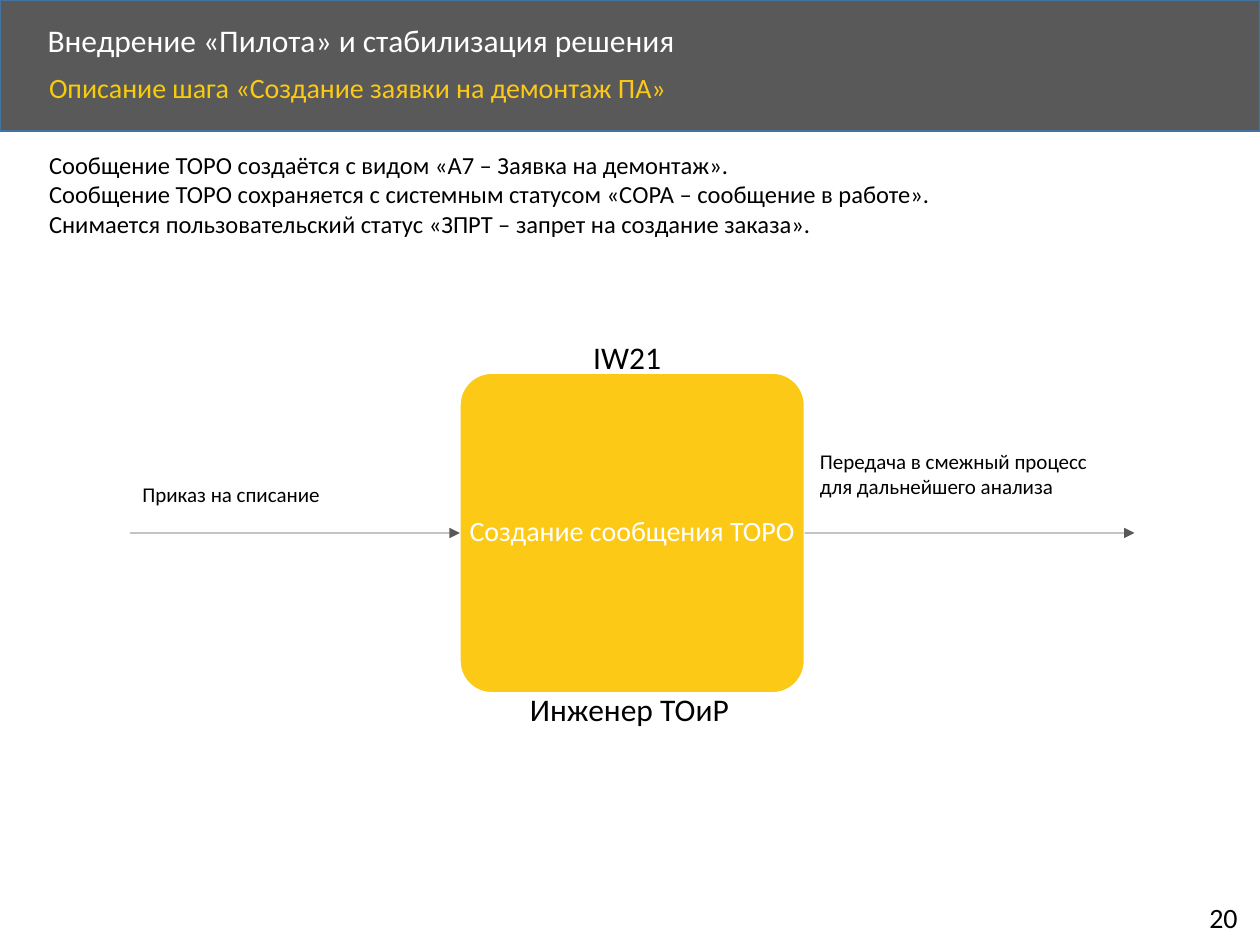
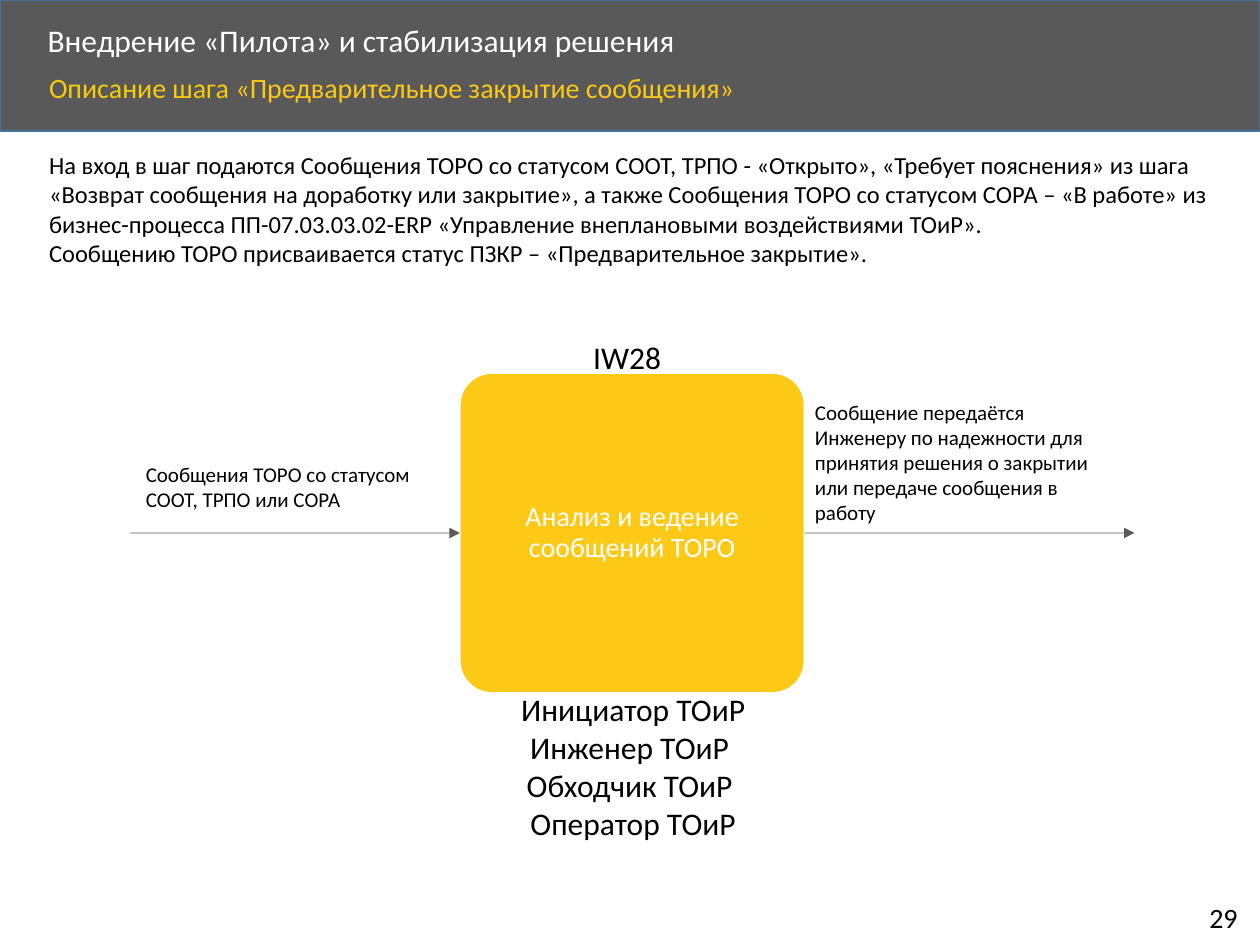
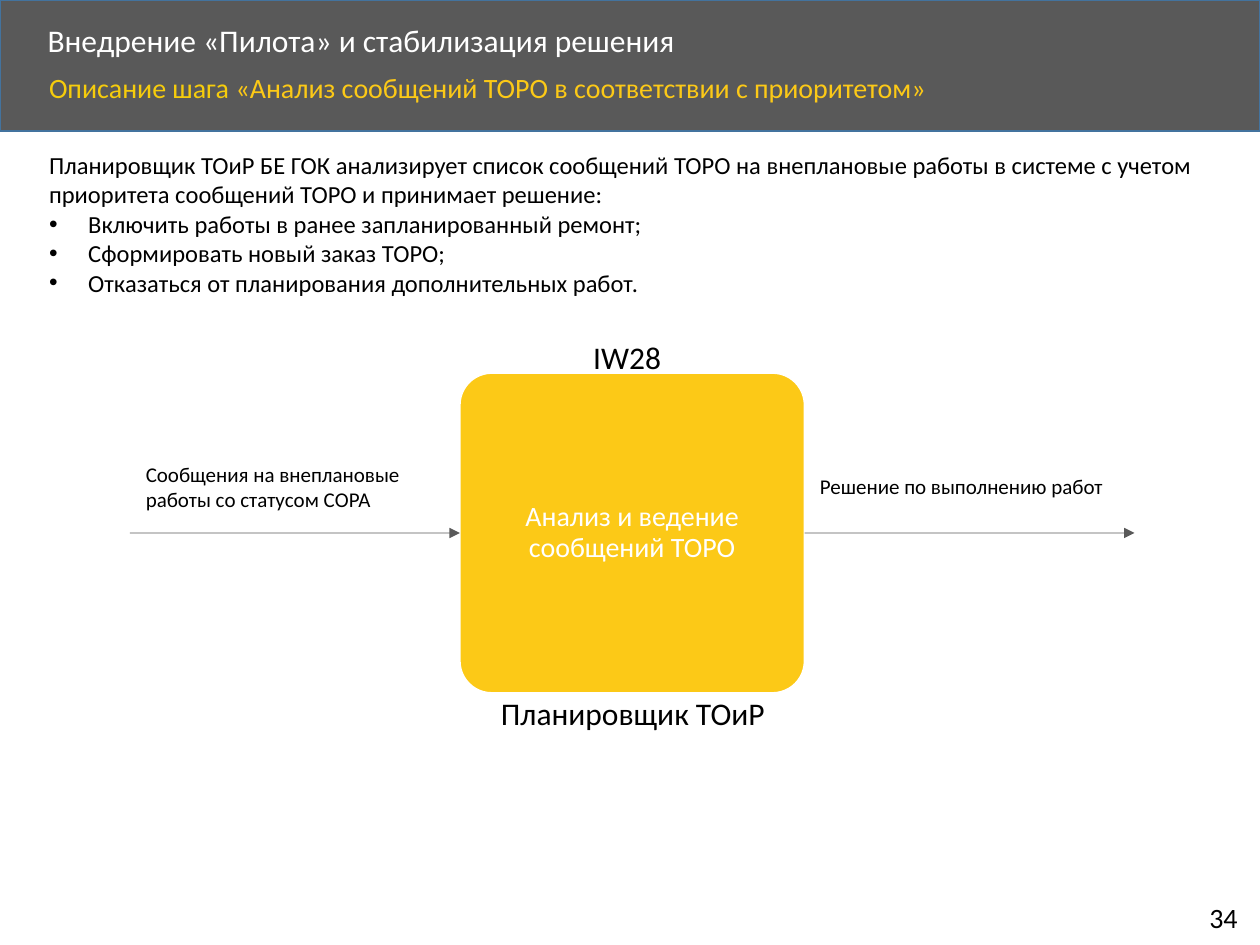
from lxml.etree import SubElement
from pptx import Presentation
from pptx.dml.color import RGBColor as Rgb
from pptx.enum.shapes import MSO_CONNECTOR as Link, MSO_SHAPE as Kind
from pptx.enum.text import MSO_ANCHOR as Anchor, MSO_AUTO_SIZE as Auto, PP_ALIGN as Align
from pptx.oxml.ns import qn
from pptx.util import Cm, Pt

HUES = {
    "grey": "595959",
    "blue": "43739E",
    "gold": "FCC917",
    "lemon": "F6CC0C",
    "white": "FFFFFF",
    "black": "000000",
}
FONT = "Calibri"
TITLE = "Внедрение «Пилота» и стабилизация решения"
LEAD = "Описание шага "
BOX = (9.27, 7.52, 6.95, 6.45)
REACH = 6.65


def hue(name):
    return Rgb.from_string(HUES[name])


class Deck:
    def __init__(self):
        self.prs = Presentation()
        self.prs.slide_width = Cm(25.4)
        self.prs.slide_height = Cm(19.05)
        self.slide = None

    def page(self, step, num):
        self.slide = self.prs.slides.add_slide(self.prs.slide_layouts[6])
        self.shape(Kind.RECTANGLE, (0, 0, 25.4, 2.64), "grey", "blue")
        self.text((0.71, 0.36, 20.5, 0.97), [TITLE], 18, "white", mid=True, lead=0.9)
        self.text((24.13, 18.03, 1.17, 0.94), [num], 16, wrap=False)
        head = self.text((0.74, 1.37, 21.97, 1.14), [LEAD], 16, lead=0.9)
        para = head.text_frame.paragraphs[0]
        para.add_run().text = step
        for run, tone in zip(para.runs, ("lemon", "gold")):
            run.font.color.rgb = hue(tone)

    def shape(self, kind, spot, fill, line):
        item = self.slide.shapes.add_shape(kind, *map(Cm, spot))
        item.shadow.inherit = False
        item.fill.solid()
        item.fill.fore_color.rgb = hue(fill)
        item.line.color.rgb = hue(line)
        item.line.width = Pt(1)
        return item

    def style(self, para, size, tone, align=Align.LEFT, lead=None):
        para.alignment = align
        para.line_spacing = lead
        para.font.name = FONT
        para.font.size = Pt(size)
        para.font.color.rgb = hue(tone)

    def text(self, spot, lines, size, tone="black", align=Align.LEFT,
             mid=False, wrap=True, lead=None, dots=False):
        item = self.slide.shapes.add_textbox(*map(Cm, spot))
        frame = item.text_frame
        frame.word_wrap = wrap
        if not wrap:
            frame.auto_size = Auto.SHAPE_TO_FIT_TEXT
        if mid:
            frame.vertical_anchor = Anchor.MIDDLE
        for i, line in enumerate(lines):
            para = frame.paragraphs[0] if i == 0 else frame.add_paragraph()
            para.text = line
            if dots and i:
                self.dot(para)
            self.style(para, size, tone, align, lead)
        return item

    def dot(self, para):
        props = para._p.get_or_add_pPr()
        props.set("marL", str(Cm(0.79)))
        props.set("indent", str(-Cm(0.79)))
        SubElement(props, qn("a:buFont"), typeface="Arial")
        SubElement(props, qn("a:buChar"), char="•")

    def block(self, words):
        item = self.shape(Kind.ROUNDED_RECTANGLE, BOX, "gold", "white")
        item.adjustments[0] = 0.1
        frame = item.text_frame
        frame.word_wrap = True
        frame.vertical_anchor = Anchor.MIDDLE
        frame.margin_left = frame.margin_right = 0
        frame.text = words
        self.style(frame.paragraphs[0], 16, "white", Align.CENTER, 0.9)
        return item

    def arrow(self, start, end):
        y = BOX[1] + BOX[3] / 2
        item = self.slide.shapes.add_connector(
            Link.STRAIGHT, Cm(start), Cm(y), Cm(end), Cm(y))
        item.line.color.rgb = hue("grey")
        item.line.width = Pt(0.5)
        SubElement(item.line._get_or_add_ln(), qn("a:tailEnd"), type="triangle")
        SubElement(item._element.spPr, qn("a:effectLst"))
        return item

    def flow(self, code, task, feed, gain, roles):
        block = self.block(task)
        left, right = BOX[0], BOX[0] + BOX[2]
        self.arrow(left - REACH, left).end_connect(block, 1)
        self.arrow(right, right + REACH).begin_connect(block, 3)
        for x, y, high, words in (feed, gain):
            self.text((x, y, 6.53, high), [words], 12)
        x, y, wide, names = roles
        self.text((x, y, wide, 0.24 + 0.77 * len(names)), names, 18, align=Align.CENTER)
        self.text((11.71, 6.68, 1.9, 1.02), [code], 18, wrap=False)

    def note(self, lines, high, dots=False):
        self.text((0.74, 2.9, 24.03, high), lines, 14, dots=dots)


def main():
    deck = Deck()

    deck.page("«Создание заявки на демонтаж ПА»", "20")
    deck.note([
        "Сообщение ТОРО создаётся с видом «A7 – Заявка на демонтаж».",
        "Сообщение ТОРО сохраняется с системным статусом «СОРА – сообщение в работе».",
        "Снимается пользовательский статус «ЗПРТ – запрет на создание заказа».",
    ], 2.06)
    deck.flow(
        "IW21", "Создание сообщения ТОРО",
        (2.62, 9.58, 0.76, "Приказ на списание"),
        (16.28, 8.92, 1.27, "Передача в смежный процесс для дальнейшего анализа"),
        (10.38, 13.79, 4.62, ["Инженер ТОиР"]))

    deck.page("«Предварительное закрытие сообщения»", "29")
    deck.note([
        "На вход в шаг подаются Сообщения ТОРО со статусом СООТ, ТРПО - «Открыто», "
        "«Требует пояснения» из шага «Возврат сообщения на доработку или закрытие», "
        "а также Сообщения ТОРО со статусом СОРА – «В работе» из бизнес-процесса "
        "ПП-07.03.03.02-ERP «Управление внеплановыми воздействиями ТОиР».",
        "Сообщению ТОРО присваивается статус ПЗКР – «Предварительное закрытие».",
    ], 2.64)
    deck.flow(
        "IW28", "Анализ и ведение сообщений ТОРО",
        (2.69, 9.17, 1.27, "Сообщения ТОРО со статусом СООТ, ТРПО или СОРА"),
        (16.18, 7.92, 2.82, "Сообщение передаётся Инженеру по надежности для принятия "
         "решения о закрытии или передаче сообщения в работу"),
        (9.88, 13.79, 5.77,
         ["Инициатор ТОиР", "Инженер ТОиР ", "Обходчик ТОиР ", "Оператор ТОиР"]))

    deck.page("«Анализ сообщений ТОРО в соответствии с приоритетом»", "34")
    deck.note([
        "Планировщик ТОиР БЕ ГОК анализирует список сообщений ТОРО на внеплановые работы "
        "в системе с учетом приоритета сообщений ТОРО и принимает решение:",
        "Включить работы в ранее запланированный ремонт;",
        "Сформировать новый заказ ТОРО;",
        "Отказаться от планирования дополнительных работ.",
    ], 3.25, dots=True)
    deck.flow(
        "IW28", "Анализ и ведение сообщений ТОРО",
        (2.69, 9.17, 1.27, "Сообщения на внеплановые работы со статусом СОРА"),
        (16.28, 9.42, 0.76, "Решение по выполнению работ"),
        (9.14, 13.87, 7.24, ["Планировщик ТОиР"]))

    deck.prs.save("out.pptx")


if __name__ == "__main__":
    main()
